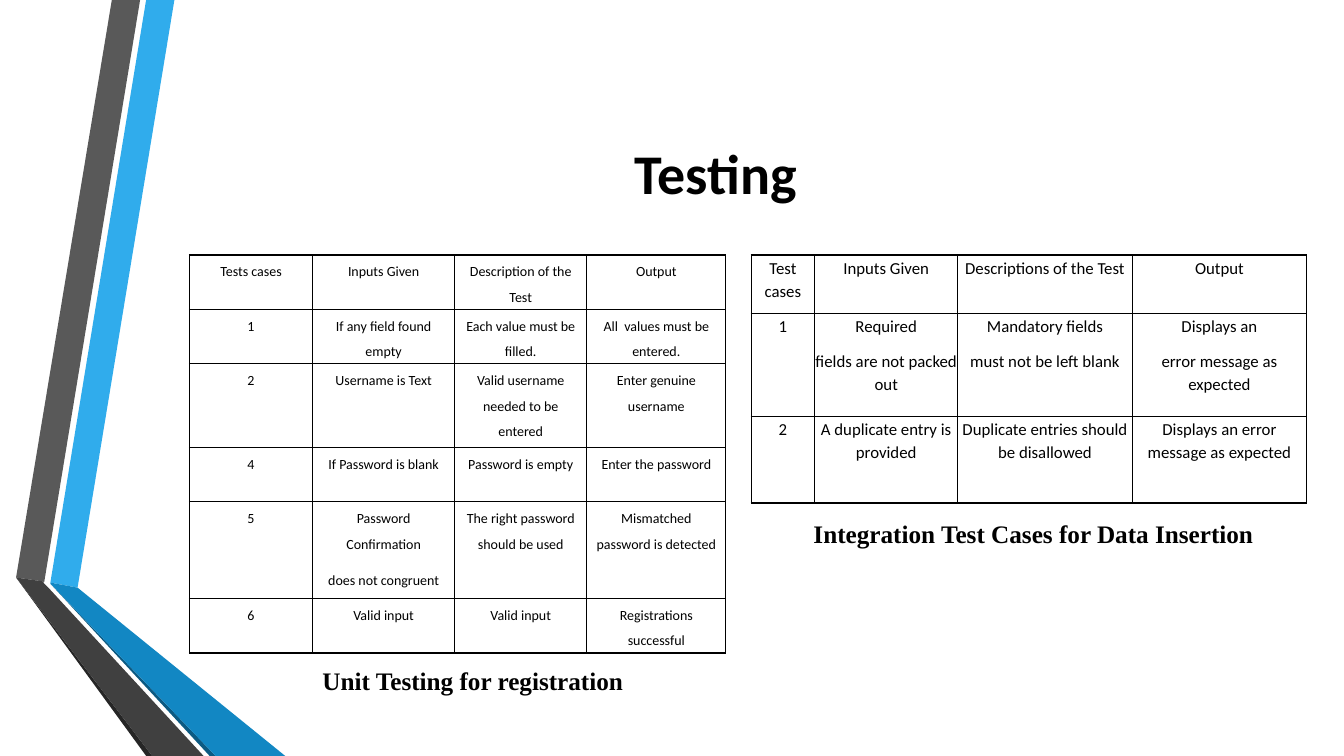
from dataclasses import dataclass

from lxml.etree import SubElement
from pptx import Presentation
from pptx.dml.color import RGBColor
from pptx.enum.text import MSO_ANCHOR, PP_ALIGN
from pptx.oxml.ns import qn
from pptx.slide import Slide
from pptx.table import _Cell
from pptx.text.text import _Paragraph
from pptx.util import Pt

EMU_PER_PX = 9144  # 100 px to the inch


@dataclass(frozen=True)
class Theme:
    text: str = "000000"
    border: str = "000000"
    border_width: int = Pt(1)
    blue: str = "30ACEC"
    blue_fold: str = "1287C3"
    blue_shade: str = "0C5A82"
    gray: str = "595959"
    gray_fold: str = "404040"
    gray_shade: str = "262626"
    sans: str = "Calibri"
    serif: str = "Times New Roman"
    title_size: int = 40
    caption_size: int = 18
    unit_size: int = 10
    integration_size: int = 12


THEME = Theme()


@dataclass(frozen=True)
class Ribbon:
    color: str
    points: tuple[tuple[int, int], ...]


@dataclass(frozen=True)
class Label:
    text: str
    left: int
    top: int
    width: int
    height: int
    font: str
    size: int
    alignment: PP_ALIGN = PP_ALIGN.LEFT


@dataclass(frozen=True)
class TestTable:
    left: int
    top: int
    columns: tuple[int, ...]
    rows: tuple[int, ...]
    side_margin: int
    size: int
    line_spacing: float
    cells: tuple[tuple[str, ...], ...]


RIBBONS = (
    Ribbon(THEME.blue, ((50, 578), (77, 583), (173, 0), (145, 0))),
    Ribbon(THEME.gray, ((139, 0), (111, 0), (16, 573), (44, 577))),
    Ribbon(THEME.gray_shade, ((16, 573), (145, 750), (151, 750))),
    Ribbon(THEME.blue_shade, ((50, 579), (208, 750), (214, 750))),
    Ribbon(THEME.blue_fold, ((50, 578), (50, 579), (214, 750), (283, 750), (77, 583))),
    Ribbon(THEME.gray_fold, ((202, 750), (48, 583), (43, 578), (44, 577), (16, 573), (151, 750))),
)

LABELS = (
    Label("Testing", 162, 75, 1096, 192, THEME.sans, THEME.title_size, PP_ALIGN.CENTER),
    Label("Integration Test Cases for Data Insertion", 797, 509, 500, 40,
          THEME.serif, THEME.caption_size),
    Label("Unit Testing for registration", 310, 655, 330, 40, THEME.serif, THEME.caption_size),
)

UNIT_TESTS = TestTable(
    188, 253, (122, 141, 131, 138), (54, 54, 83, 54, 96, 54), 6, THEME.unit_size, 1.5,
    (
        ("Tests cases", "Inputs Given", "Description of the Test", "Output"),
        ("1", "If any field found empty", "Each value must be filled.",
         "All  values must be entered."),
        ("2", "Username is Text", "Valid username needed to be entered",
         "Enter genuine username"),
        ("4", "If Password is blank", "Password is empty", "Enter the password"),
        ("5", "Password Confirmation\ndoes not congruent",
         "The right password should be used", "Mismatched password is detected"),
        ("6", "Valid input", "Valid input", "Registrations successful"),
    ),
)

INTEGRATION_TESTS = TestTable(
    745, 253, (63, 142, 173, 173), (58, 102, 86), 0, THEME.integration_size, 1.15,
    (
        ("Test cases", "Inputs Given", "Descriptions of the Test", "Output"),
        ("1", "Required\nfields are not packed out",
         "Mandatory fields\nmust not be left blank",
         "Displays an\nerror message as expected"),
        ("2", "A duplicate entry is provided", "Duplicate entries should be disallowed",
         "Displays an error message as expected"),
    ),
)


def px(length: int) -> int:
    return length * EMU_PER_PX


def style_paragraph(paragraph: _Paragraph, font: str, size: int,
                    alignment: PP_ALIGN, bold: bool = False) -> None:
    paragraph.alignment = alignment
    paragraph.font.name = font
    paragraph.font.size = Pt(size)
    paragraph.font.bold = bold
    paragraph.font.color.rgb = RGBColor.from_string(THEME.text)


def draw_ribbon(slide: Slide, ribbon: Ribbon) -> None:
    start, *others = ribbon.points
    builder = slide.shapes.build_freeform(*start, scale=EMU_PER_PX)
    builder.add_line_segments(others, close=True)
    shape = builder.convert_to_shape()
    shape.shadow.inherit = False
    shape.fill.solid()
    shape.fill.fore_color.rgb = RGBColor.from_string(ribbon.color)
    shape.line.fill.background()


def draw_label(slide: Slide, label: Label) -> None:
    box = slide.shapes.add_textbox(
        px(label.left), px(label.top), px(label.width), px(label.height))
    frame = box.text_frame
    frame.word_wrap = True
    frame.vertical_anchor = MSO_ANCHOR.MIDDLE
    frame.text = label.text
    style_paragraph(frame.paragraphs[0], label.font, label.size, label.alignment, bold=True)


def add_borders(cell: _Cell) -> None:
    properties = cell._tc.get_or_add_tcPr()
    for side in ("a:lnL", "a:lnR", "a:lnT", "a:lnB"):
        line = SubElement(properties, qn(side), w=str(THEME.border_width))
        fill = SubElement(line, qn("a:solidFill"))
        SubElement(fill, qn("a:srgbClr"), val=THEME.border)


def fill_cell(cell: _Cell, text: str, test_table: TestTable) -> None:
    cell.margin_left = cell.margin_right = px(test_table.side_margin)
    cell.margin_top = cell.margin_bottom = 0
    add_borders(cell)
    cell.fill.background()
    cell.text_frame.text = text
    for paragraph in cell.text_frame.paragraphs:
        paragraph.line_spacing = test_table.line_spacing
        paragraph.space_after = Pt(8)
        style_paragraph(paragraph, THEME.sans, test_table.size, PP_ALIGN.CENTER)


def draw_table(slide: Slide, test_table: TestTable) -> None:
    table = slide.shapes.add_table(
        len(test_table.rows), len(test_table.columns),
        px(test_table.left), px(test_table.top),
        px(sum(test_table.columns)), px(sum(test_table.rows))).table
    table.first_row = table.horz_banding = False
    for column, width in zip(table.columns, test_table.columns):
        column.width = px(width)
    for row, height, texts in zip(table.rows, test_table.rows, test_table.cells):
        row.height = px(height)
        for cell, text in zip(row.cells, texts):
            fill_cell(cell, text, test_table)


def main() -> None:
    presentation = Presentation()
    presentation.slide_width, presentation.slide_height = px(1333), px(750)
    slide = presentation.slides.add_slide(presentation.slide_layouts[6])
    for ribbon in RIBBONS:
        draw_ribbon(slide, ribbon)
    for test_table in (UNIT_TESTS, INTEGRATION_TESTS):
        draw_table(slide, test_table)
    for label in LABELS:
        draw_label(slide, label)
    presentation.save("out.pptx")


if __name__ == "__main__":
    main()
